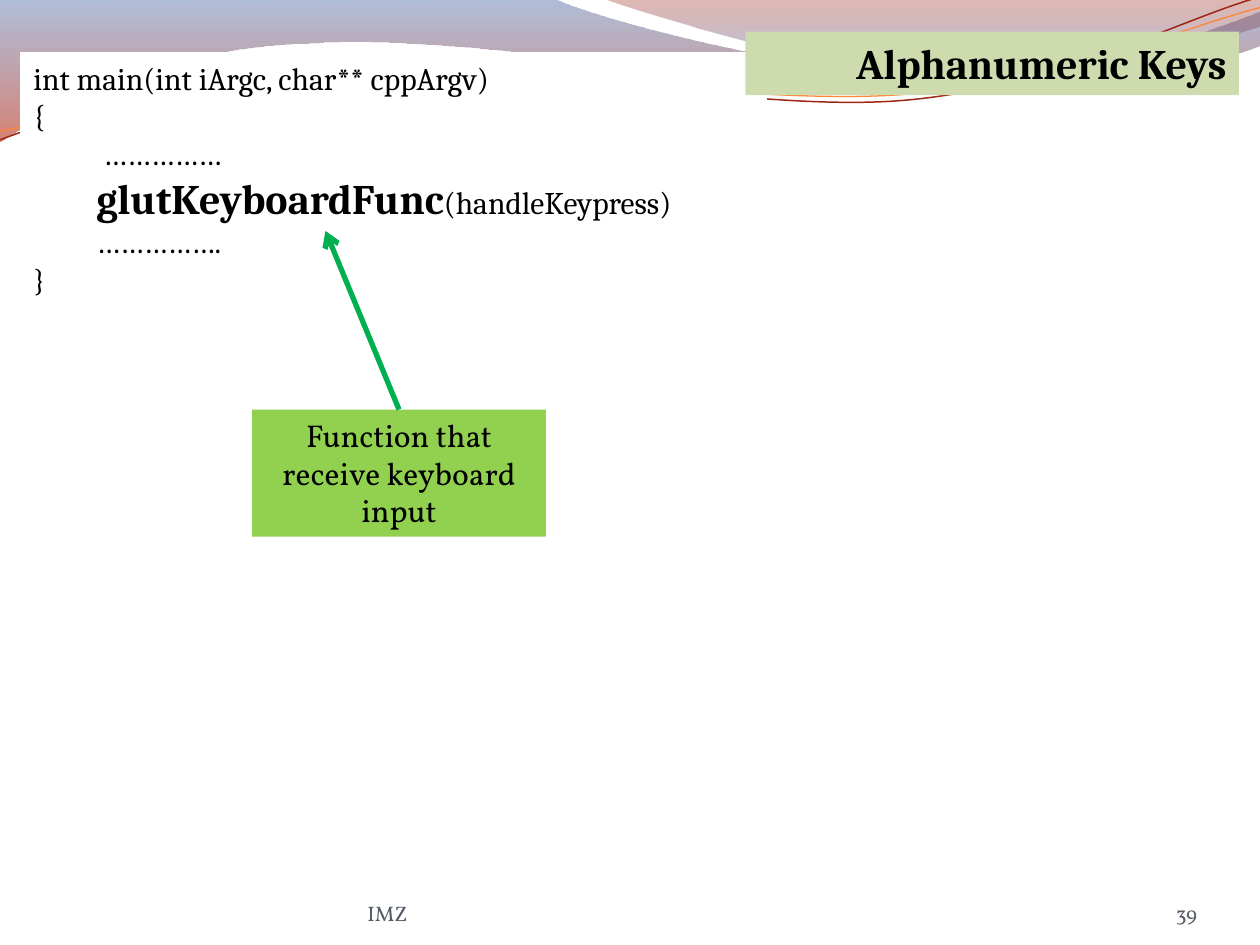
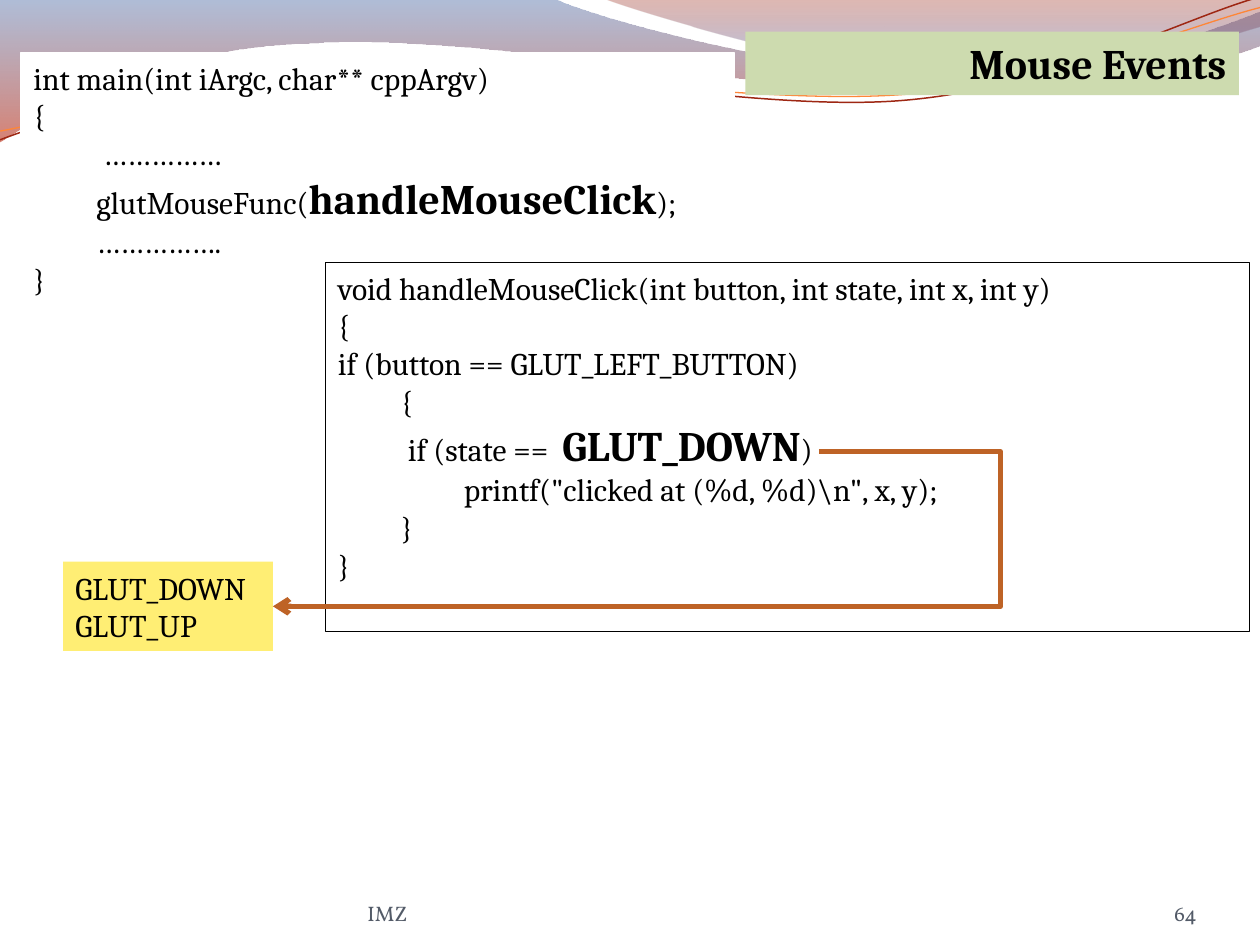
from lxml.etree import SubElement
from pptx import Presentation
from pptx.dml.color import RGBColor
from pptx.enum.shapes import MSO_CONNECTOR, MSO_SHAPE
from pptx.enum.text import MSO_ANCHOR, MSO_AUTO_SIZE, PP_ALIGN
from pptx.oxml.ns import qn
from pptx.util import Pt

COLORS = {
    "text": "000000", "muted": "535B68", "white": "FFFFFF",
    "title": "CDDBAF", "callout": "92D050", "values": "FFEE74",
    "green": "00B050", "orange": "BE6326",
    "wave blue": "4F6EA8", "wave red": "B61A00",
    "crest red": "951500", "crest blue": "5681D1",
    "red line": "9E2713", "orange line": "FE8637",
}
CODE_FONT, BODY_FONT = "Cambria", "Vollkorn"
BODY_SIZE, BIG_SIZE = 18, 24
LEVEL_INDENT = 36

# Outlines in points: a pair is a straight segment, a sextet a Bezier curve.
# Gradient stops: position, colour, opacity (percent).
WAVES = [
    dict(start=(0, 0),
         segments=[(316.8, -0.7), (342.7, 12.2, 478.1, 45.4, 545.8, 45.4),
                   (614.2, 45.4, 689.8, 18.7, 720, 6.5), (720.7, 25.9),
                   (707.8, 31.7, 626.4, 54.7, 537.1, 54),
                   (447.8, 54, 275, 20.2, 185, 24.5),
                   (92.9, 25.9, 33.1, 59.8, -0.7, 81.4)],
         stops=[(0, "wave blue", 45), (100, "wave red", 55)]),
    dict(start=(344.9, -0.7),
         segments=[(366.5, 7.9, 491, 44.6, 553.7, 46.8),
                   (616.3, 49.7, 691.9, 23, 720, 15.1), (720, 0)],
         stops=[(0, "crest red", 30), (80, "crest blue", 45)]),
    dict(start=(0, 79.9),
         segments=[(34.6, 67, 113.8, 41, 199.4, 37.4),
                   (284.4, 33.8, 427, 64.1, 513.4, 57.6),
                   (599.8, 51.1, 675.4, 10.8, 718.6, -1.4)],
         line=("red line", 0.85)),
    dict(start=(0, 74.9),
         segments=[(33.8, 69.1, 118.1, 43.9, 203.8, 40.3),
                   (290.2, 36.7, 429.8, 60.5, 516.2, 54),
                   (601.9, 48.2, 677.5, 15.1, 720, 4.3)],
         line=("orange line", 0.75)),
]


def main_code(call):
    """Lines of main() around one call, each with its level."""
    return [(0, "int main(int iArgc, char** cppArgv)"), (0, "{"),
            (1, " ……………"), (1, call), (1, "……………."), (0, "}")]


SLIDES = [
    dict(title="Alphanumeric Keys", number="39",
         boxes=[
             dict(at=(12, 30, 426, 145.5), fill="white", line="white",
                  lines=main_code("glutKeyboardFunc(handleKeypress)"),
                  big="glutKeyboardFunc"),
             dict(at=(144, 234, 168, 72.7), fill="callout", font=BODY_FONT,
                  lines=[(0, "Function that receive keyboard input")],
                  align=PP_ALIGN.CENTER),
         ],
         arrow=dict(begin=(228, 234), end=(186, 132), color="green")),
    dict(title="Mouse Events", number="64",
         boxes=[
             dict(at=(12, 30, 407.5, 145.5), fill="white", line="white",
                  lines=main_code("glutMouseFunc(handleMouseClick);"),
                  big="handleMouseClick"),
             dict(at=(186, 150, 528, 211), fill="white", line="text",
                  big="GLUT_DOWN",
                  lines=[(0, "void handleMouseClick(int button, int state, int x, int y)"),
                         (0, "{"), (0, "if (button == GLUT_LEFT_BUTTON)"),
                         (1, "{"), (1, " if (state ==  GLUT_DOWN)"),
                         (2, 'printf("clicked at (%d, %d)\\n", x, y);'),
                         (1, "}"), (0, "}")]),
             dict(at=(36, 321, 120, 51), fill="values", anchor=MSO_ANCHOR.MIDDLE,
                  lines=[(0, "GLUT_DOWN"), (0, "GLUT_UP")]),
         ],
         arrow=dict(begin=(468, 258), end=(156, 346.5), color="orange", bend=-33200)),
]


def rgb(name):
    return RGBColor.from_string(COLORS[name])


def write(tf, lines, size=BODY_SIZE, font=CODE_FONT, color="text", bold=False,
          big=None, align=PP_ALIGN.LEFT, anchor=MSO_ANCHOR.TOP, inset=None):
    """Fill a frame with (level, text) lines; the term `big` is set larger and bold."""
    tf.word_wrap, tf.auto_size, tf.vertical_anchor = True, MSO_AUTO_SIZE.NONE, anchor
    if inset is not None:
        tf.margin_left = tf.margin_right = tf.margin_top = tf.margin_bottom = Pt(inset)
    for i, (level, text) in enumerate(lines):
        p = tf.add_paragraph() if i else tf.paragraphs[0]
        p.alignment = align
        if level:
            p.level = level
            p._p.get_or_add_pPr().set("marL", str(Pt(level * LEVEL_INDENT)))
        for part in text.partition(big) if big else [text]:
            if part:
                r = p.add_run()
                r.text = part
                r.font.name, r.font.color.rgb = font, rgb(color)
                r.font.bold = bold or part == big
                r.font.size = Pt(BIG_SIZE if part == big else size)


def add_box(s, at, lines, fill, line=None, **fmt):
    sp = s.shapes.add_shape(MSO_SHAPE.RECTANGLE, *map(Pt, at))
    sp.shadow.inherit = False
    sp.fill.solid()
    sp.fill.fore_color.rgb = rgb(fill)
    if line:
        sp.line.color.rgb, sp.line.width = rgb(line), Pt(0.75)
    else:
        sp.line.fill.background()
    write(sp.text_frame, lines, **fmt)


def add_arrow(s, begin, end, color, bend=None):
    kind = MSO_CONNECTOR.STRAIGHT if bend is None else MSO_CONNECTOR.ELBOW
    sp = s.shapes.add_connector(kind, *map(Pt, begin + end))
    sp.line.color.rgb, sp.line.width = rgb(color), Pt(3)
    SubElement(sp.line._get_or_add_ln(), qn("a:tailEnd"), type="arrow")
    props = sp.element.spPr
    SubElement(props, qn("a:effectLst"))
    if bend is not None:
        guides = props.find(qn("a:prstGeom")).get_or_add_avLst()
        SubElement(guides, qn("a:gd"), name="adj1", fmla=f"val {bend}")


def bend_segments(sp, segments):
    """Join the three straight steps of each sextet into one Bezier curve."""
    steps = iter(list(sp.element.iter(qn("a:lnTo"))))
    for seg in segments:
        first = next(steps)
        if len(seg) == 6:
            first.tag = qn("a:cubicBezTo")
            for step in (next(steps), next(steps)):
                first.append(step[0])
                step.getparent().remove(step)


def add_wave(s, start, segments, stops=None, line=None):
    points = [(Pt(seg[i]), Pt(seg[i + 1]))
              for seg in segments for i in range(0, len(seg), 2)]
    builder = s.shapes.build_freeform(*map(Pt, start))
    builder.add_line_segments(points, close=bool(stops))
    sp = builder.convert_to_shape()
    bend_segments(sp, segments)
    sp.shadow.inherit = False
    if line:
        sp.fill.background()
        sp.line.color.rgb, sp.line.width = rgb(line[0]), Pt(line[1])
        return sp
    sp.line.fill.background()
    sp.fill.gradient()
    grad = sp.element.spPr.find(qn("a:gradFill"))
    for child in list(grad):
        grad.remove(child)
    stop_list = SubElement(grad, qn("a:gsLst"))
    for pos, color, opacity in stops:
        gs = SubElement(stop_list, qn("a:gs"), pos=str(pos * 1000))
        clr = SubElement(gs, qn("a:srgbClr"), val=COLORS[color])
        SubElement(clr, qn("a:alpha"), val=str(opacity * 1000))
    SubElement(grad, qn("a:lin"), ang="5400000", scaled="0")
    return sp


def add_title(s, text):
    sp = s.shapes.title
    sp.left, sp.top, sp.width, sp.height = map(Pt, (426, 18, 282, 36.4))
    sp.fill.solid()
    sp.fill.fore_color.rgb = rgb("title")
    write(sp.text_frame, [(0, text)], size=BIG_SIZE, bold=True, align=PP_ALIGN.RIGHT)
    s.shapes.element.append(sp.element)  # in front of the code box


def add_footer(s, number):
    for text, left, width, align in (("IMZ", 210, 264, PP_ALIGN.LEFT),
                                     (number, 624, 60, PP_ALIGN.RIGHT)):
        sp = s.shapes.add_textbox(*map(Pt, (left, 500.4, width, 28.8)))
        write(sp.text_frame, [(0, text)], size=12, font=BODY_FONT, color="muted",
              align=align, anchor=MSO_ANCHOR.BOTTOM, inset=0)


def main():
    prs = Presentation()
    prs.slide_width, prs.slide_height = Pt(720), Pt(540)
    layout = prs.slide_layouts[5]
    for i, content in enumerate(SLIDES):
        s = prs.slides.add_slide(layout)
        if i == 0:  # the layout carries the waves for every slide
            for wave in WAVES:
                layout.shapes.element.append(add_wave(s, **wave).element)
        for box in content["boxes"]:
            add_box(s, **box)
        add_arrow(s, **content["arrow"])
        add_title(s, content["title"])
        add_footer(s, content["number"])
    prs.save("out.pptx")


if __name__ == "__main__":
    main()
